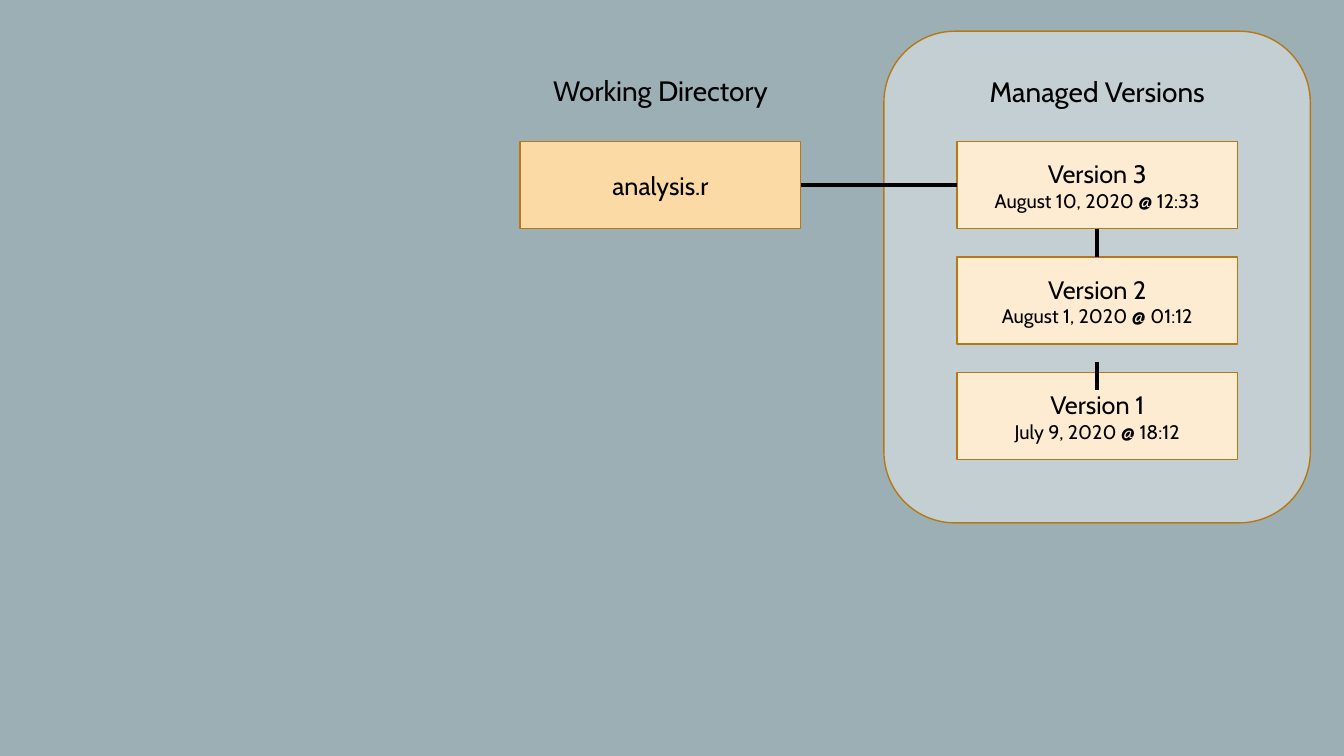
from lxml.etree import SubElement
from pptx import Presentation
from pptx.dml.color import RGBColor
from pptx.enum.shapes import MSO_CONNECTOR, MSO_SHAPE
from pptx.enum.text import MSO_ANCHOR, PP_ALIGN
from pptx.oxml.ns import qn
from pptx.util import Pt

BACKGROUND = RGBColor(0x9B, 0xAF, 0xB5)
PANEL = RGBColor(0xC3, 0xCF, 0xD3)
WORKING = RGBColor(0xFB, 0xDA, 0xA5)
MANAGED = RGBColor(0xFD, 0xEC, 0xD2)
BORDER = RGBColor(0xB6, 0x78, 0x15)
BLACK = RGBColor(0, 0, 0)

FONT = "Cabin"
WORKING_HEADING = "Working Directory"
MANAGED_HEADING = "Managed Versions"
WORKING_FILE = "analysis.r"
VERSIONS = [
    ("Version 3", "August 10, 2020 @ 12:33"),
    ("Version 2", "August 1, 2020 @ 01:12"),
    ("Version 1", "July 9, 2020 @ 18:12"),
]

BOX_WIDTH, BOX_HEIGHT = 200.4, 62.2
BOX_TOP, BOX_PITCH = 101.2, 82.5
WORKING_LEFT, MANAGED_LEFT = 371.6, 683.6
HEADING_WIDTH, HEADING_HEIGHT = 230.4, 31.5
LOOSE_LINK_TOP, LOOSE_LINK_BOTTOM = 258.5, 278.6


def write(shape, lines, sizes, anchor=MSO_ANCHOR.MIDDLE):
    frame = shape.text_frame
    frame.word_wrap = True
    frame.vertical_anchor = anchor
    for index, (text, size) in enumerate(zip(lines, sizes)):
        para = frame.paragraphs[0] if index == 0 else frame.add_paragraph()
        para.alignment = PP_ALIGN.CENTER
        span = para.add_run()
        span.text = text
        span.font.name = FONT
        span.font.size = Pt(size)
        span.font.color.rgb = BLACK


def add_box(page, kind, left, top, width, height, fill):
    box = page.shapes.add_shape(kind, Pt(left), Pt(top), Pt(width), Pt(height))
    box.shadow.inherit = False
    box.fill.solid()
    box.fill.fore_color.rgb = fill
    box.line.color.rgb = BORDER
    box.line.width = Pt(1)
    return box


def add_file_box(page, left, row, fill, lines):
    top = BOX_TOP + row * BOX_PITCH
    box = add_box(page, MSO_SHAPE.RECTANGLE, left, top, BOX_WIDTH, BOX_HEIGHT, fill)
    write(box, lines, (18, 14))
    return box


def add_heading(page, text, box_left, top):
    left = box_left + (BOX_WIDTH - HEADING_WIDTH) / 2
    heading = page.shapes.add_textbox(
        Pt(left), Pt(top), Pt(HEADING_WIDTH), Pt(HEADING_HEIGHT))
    write(heading, [text], [20], anchor=MSO_ANCHOR.TOP)


def add_link(page, left=0, top=0, right=0, bottom=0):
    link = page.shapes.add_connector(
        MSO_CONNECTOR.STRAIGHT, Pt(left), Pt(top), Pt(right), Pt(bottom))
    link.line.color.rgb = BLACK
    link.line.width = Pt(3)
    SubElement(link._element.spPr, qn("a:effectLst"))
    return link


def join(page, start, start_side, end, end_side):
    link = add_link(page)
    link.begin_connect(start, start_side)
    link.end_connect(end, end_side)


def main():
    deck = Presentation()
    deck.slide_width, deck.slide_height = Pt(960), Pt(540)
    page = deck.slides.add_slide(deck.slide_layouts[6])
    page.background.fill.solid()
    page.background.fill.fore_color.rgb = BACKGROUND

    add_box(page, MSO_SHAPE.ROUNDED_RECTANGLE, 631.4, 22.3, 304.6, 351.2, PANEL)
    working = add_file_box(page, WORKING_LEFT, 0, WORKING, [WORKING_FILE])
    add_heading(page, WORKING_HEADING, WORKING_LEFT, 49)
    add_heading(page, MANAGED_HEADING, MANAGED_LEFT, 49.7)
    versions = [add_file_box(page, MANAGED_LEFT, row, MANAGED, lines)
                for row, lines in enumerate(VERSIONS)]

    join(page, working, 3, versions[0], 1)
    join(page, versions[0], 2, versions[1], 0)
    center = MANAGED_LEFT + BOX_WIDTH / 2
    add_link(page, center, LOOSE_LINK_TOP, center, LOOSE_LINK_BOTTOM)

    deck.save("out.pptx")


if __name__ == "__main__":
    main()
